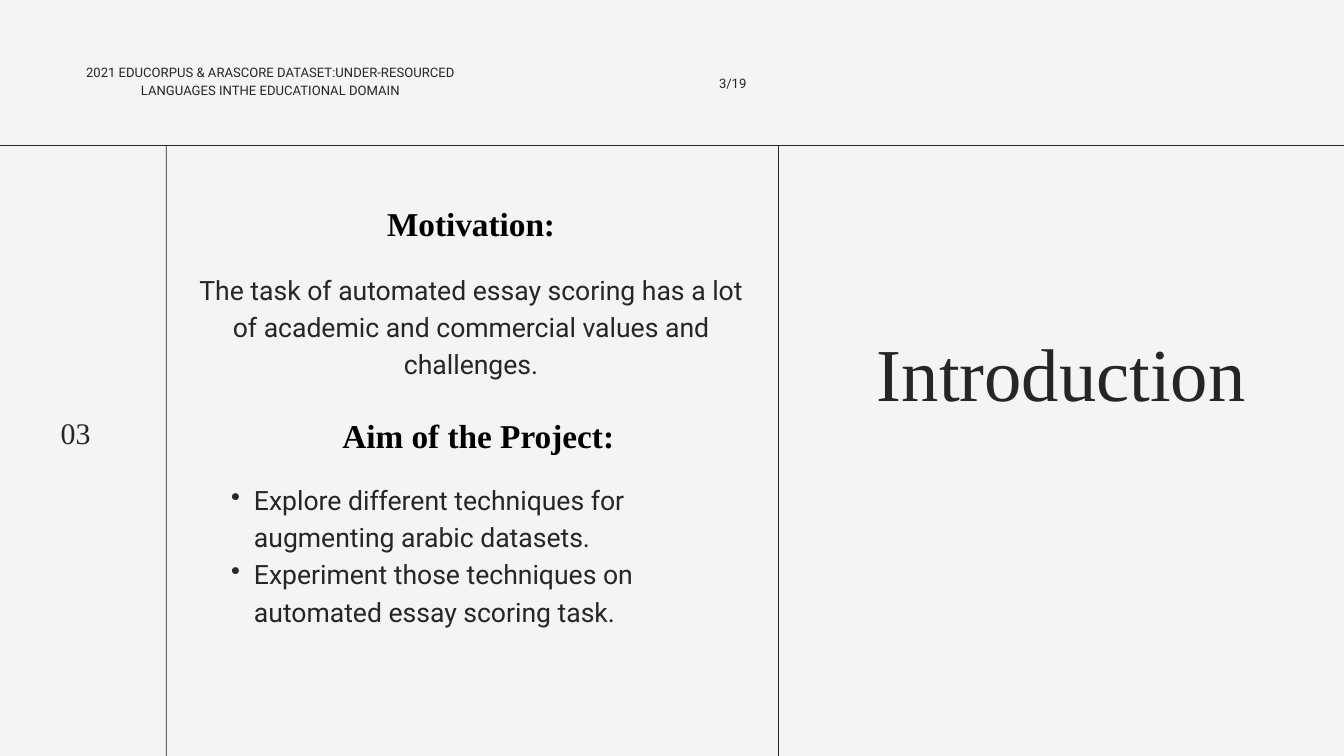
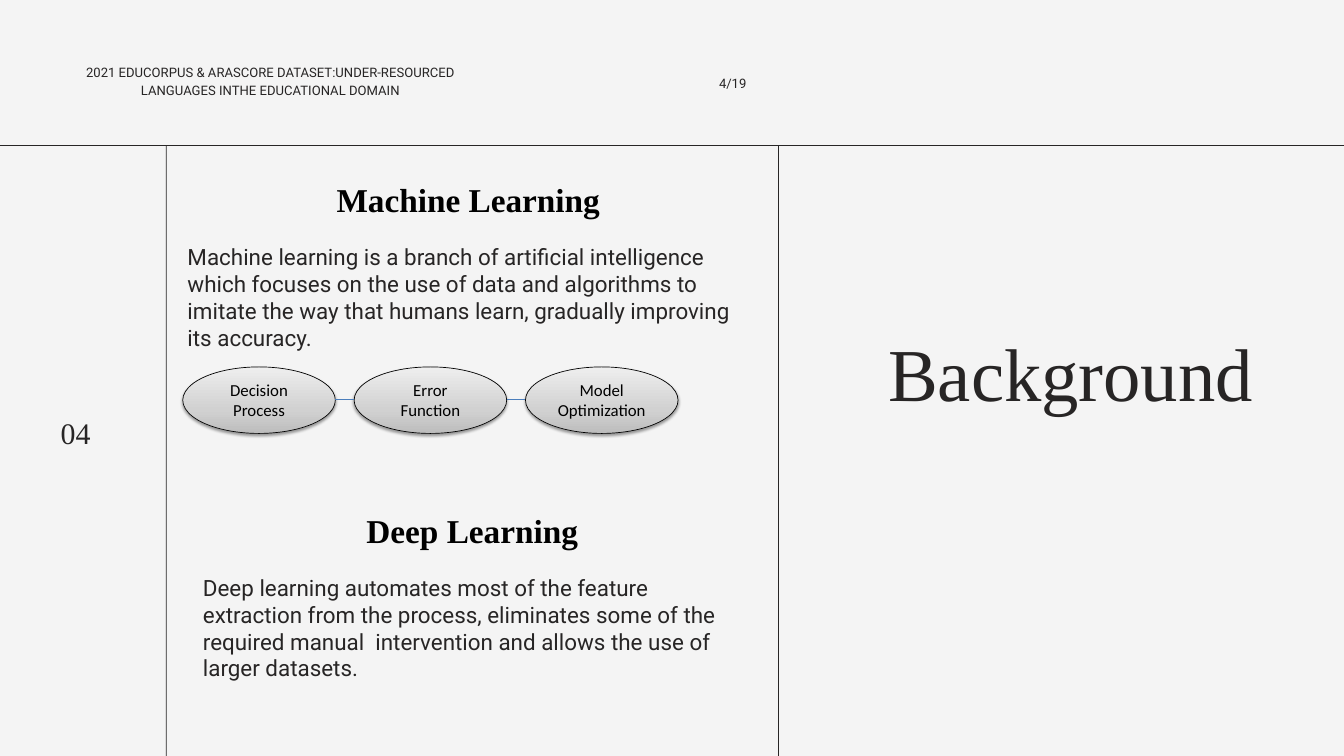
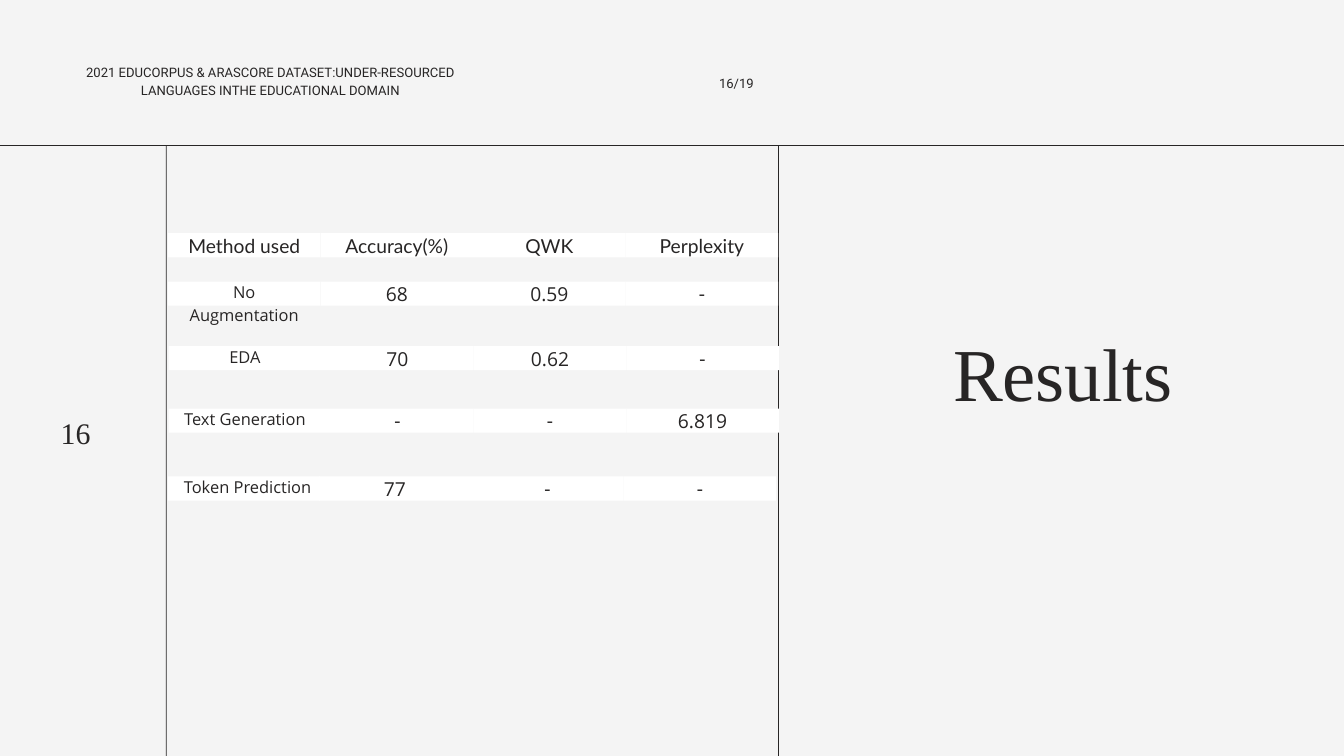
from dataclasses import dataclass

from lxml import etree
from pptx import Presentation, presentation as deck, slide as s, util as u
from pptx.dml import color as c
from pptx.enum import shapes, text as t
from pptx.oxml import ns
from pptx.shapes import autoshape

PX = u.Inches(1) // 100

PAPER = c.RGBColor(0xF4, 0xF4, 0xF4)
INK = c.RGBColor(0x27, 0x25, 0x25)
BLACK = c.RGBColor(0, 0, 0)
WHITE = c.RGBColor(0xFF, 0xFF, 0xFF)
LINK_BLUE = c.RGBColor(0x4B, 0x7E, 0xBC)
GRADIENT_STOPS = ((0, "BDBDBD"), (35, "D1D1D1"), (100, "EEEEEE"))

SLIDE_WIDTH, SLIDE_HEIGHT = 2000, 1125
RULE_TOP = 216
RULE_LEFTS = (1158, 247)
TITLE_RIGHT = 1972
PAPER_TITLE = ("2021 EDUCORPUS & ARASCORE DATASET:UNDER-RESOURCED "
               "LANGUAGES INTHE EDUCATIONAL DOMAIN")
PAGE_COUNT = 19

STEP_WIDTH, STEP_HEIGHT, STEP_PITCH = 227, 99, 255
CELL_WIDTH, CELL_HEIGHT, CELL_INSET = 227, 36, 16


@dataclass(frozen=True)
class Box:
    left: int
    top: int
    width: int
    height: int


@dataclass(frozen=True)
class TextStyle:
    font: str
    size: float
    line_spacing: float | None = None
    align: t.PP_ALIGN = t.PP_ALIGN.CENTER
    color: c.RGBColor = INK
    bold: bool = False
    bullet: bool = False


@dataclass(frozen=True)
class ResultRow:
    top: int
    label: str
    values: tuple[str, ...]
    left: int = 250
    value_left: int = 477
    label_left: int = 266


LEFT = t.PP_ALIGN.LEFT
TITLE = TextStyle("Times New Roman", 80, 104)
HEADING = TextStyle("Times New Roman", 35.7, 42.9, color=BLACK, bold=True)
SECTION_NUMBER = TextStyle("Times New Roman", 32, 38.4)
HEADER = TextStyle("Roboto", 14, 19.6)
PAGE_NUMBER = TextStyle("Roboto", 14, 19.6, LEFT)
STATEMENT = TextStyle("Roboto", 28.5, 39.9)
BULLETS = TextStyle("Roboto", 28.5, 39.9, LEFT, bullet=True)
BODY = TextStyle("Roboto", 24, align=LEFT)
STEP = TextStyle("Calibri", 18, color=BLACK)
COLUMN_HEAD = TextStyle("Lato", 20.6, 28.8)
METHOD = TextStyle("Open Sans", 17.6, 24.6)
VALUE = TextStyle("Open Sans", 20.6, 28.8)

STEPS = ("Decision Process", "Error Function", "Model Optimization")
RESULTS = (
    ResultRow(347, "Method used", ("Accuracy(%)", "QWK", "Perplexity")),
    ResultRow(419, "No Augmentation", ("68", "0.59", "-")),
    ResultRow(515, "EDA", ("70", "0.62", "-"), 251, 478, 267),
    ResultRow(608, "Text Generation", ("-", "-", "6.819"), 251, 478, 267),
    ResultRow(709, "Token Prediction", ("77", "-", "-"), 250, 474, 271),
)


def to_emu(box: Box) -> tuple[int, int, int, int]:
    return box.left * PX, box.top * PX, box.width * PX, box.height * PX


def write_text(frame, lines: tuple[str, ...], style: TextStyle) -> None:
    frame.word_wrap = True
    for index, line in enumerate(lines):
        paragraph = frame.add_paragraph() if index else frame.paragraphs[0]
        paragraph.alignment = style.align
        if style.line_spacing:
            paragraph.line_spacing = u.Pt(style.line_spacing)
        if style.bullet:
            paragraph.level = 1
            properties = paragraph._p.get_or_add_pPr()
            properties.set("marL", str(67 * PX))
            properties.set("indent", str(-34 * PX))
            etree.SubElement(properties, ns.qn("a:buChar"), char="•")
        run = paragraph.add_run()
        run.text = line
        run.font.name = style.font
        run.font.size = u.Pt(style.size)
        run.font.bold = style.bold
        run.font.color.rgb = style.color


def add_text(slide: s.Slide, box: Box, style: TextStyle, *lines: str) -> None:
    frame = slide.shapes.add_textbox(*to_emu(box)).text_frame
    frame.margin_left = frame.margin_top = frame.margin_right = frame.margin_bottom = 0
    frame.auto_size = t.MSO_AUTO_SIZE.SHAPE_TO_FIT_TEXT
    write_text(frame, lines, style)


def add_rectangle(slide: s.Slide, box: Box, color: c.RGBColor) -> None:
    shape = slide.shapes.add_shape(shapes.MSO_SHAPE.RECTANGLE, *to_emu(box))
    shape.shadow.inherit = False
    shape.fill.solid()
    shape.fill.fore_color.rgb = color
    shape.line.fill.background()


def add_framed_slide(presentation: deck.Presentation, number: int, title: str,
                     title_left: int = 1215) -> s.Slide:
    """Add a slide with the rules, header, numbering and title all slides share."""
    slide = presentation.slides.add_slide(presentation.slide_layouts[6])
    slide.background.fill.solid()
    slide.background.fill.fore_color.rgb = PAPER
    add_rectangle(slide, Box(0, RULE_TOP, SLIDE_WIDTH, 1), INK)
    for left in RULE_LEFTS:
        add_rectangle(slide, Box(left, RULE_TOP, 1, SLIDE_HEIGHT - RULE_TOP), INK)
    add_text(slide, Box(title_left, 475, TITLE_RIGHT - title_left, 142), TITLE, title)
    add_text(slide, Box(126, 92, 553, 53), HEADER, PAPER_TITLE)
    add_text(slide, Box(73, 617, 79, 53), SECTION_NUMBER, f"{number:02}")
    add_text(slide, Box(1070, 108, 370, 26), PAGE_NUMBER, f"{number}/{PAGE_COUNT}")
    return slide


def shade(shape: autoshape.Shape) -> None:
    """Give the shape a three-stop grey gradient and a soft shadow below."""
    shape.fill.gradient()
    shape.fill.gradient_angle = 90
    stops = shape._element.spPr.find(f".//{ns.qn('a:gsLst')}")
    stops.clear()
    for percent, color in GRADIENT_STOPS:
        stop = etree.SubElement(stops, ns.qn("a:gs"), pos=str(percent * 1000))
        etree.SubElement(stop, ns.qn("a:srgbClr"), val=color)
    shape.shadow.inherit = False
    effects = shape._element.spPr.find(ns.qn("a:effectLst"))
    shadow = etree.SubElement(effects, ns.qn("a:outerShdw"), blurRad=str(u.Pt(3.1)),
                              dist=str(u.Pt(1.6)), dir="5400000", rotWithShape="0")
    color = etree.SubElement(shadow, ns.qn("a:srgbClr"), val=str(BLACK))
    etree.SubElement(color, ns.qn("a:alpha"), val="38000")


def add_step(slide: s.Slide, box: Box, label: str) -> None:
    shape = slide.shapes.add_shape(shapes.MSO_SHAPE.OVAL, *to_emu(box))
    shade(shape)
    shape.line.color.rgb = BLACK
    shape.line.width = u.Pt(0.75)
    shape.text_frame.vertical_anchor = t.MSO_ANCHOR.MIDDLE
    write_text(shape.text_frame, (label,), STEP)


def add_link(slide: s.Slide, start: int, end: int, y: int) -> None:
    connector = slide.shapes.add_connector(
        shapes.MSO_CONNECTOR.STRAIGHT, start * PX, y * PX, end * PX, y * PX)
    connector.line.color.rgb = LINK_BLUE
    connector.line.width = u.Pt(0.75)
    etree.SubElement(connector._element.spPr, ns.qn("a:effectLst"))


def add_step_chain(slide: s.Slide, left: int, top: int) -> None:
    for index, label in enumerate(STEPS):
        step_left = left + index * STEP_PITCH
        add_step(slide, Box(step_left, top, STEP_WIDTH, STEP_HEIGHT), label)
        if index:
            previous_right = step_left - STEP_PITCH + STEP_WIDTH
            add_link(slide, previous_right, step_left, top + STEP_HEIGHT // 2)


def add_cell(slide: s.Slide, left: int, top: int, text_left: int,
             content: str, style: TextStyle) -> None:
    add_rectangle(slide, Box(left, top, CELL_WIDTH, CELL_HEIGHT), WHITE)
    text_box = Box(text_left, top - 4, CELL_WIDTH - 2 * CELL_INSET, 38)
    add_text(slide, text_box, style, content)


def add_result_row(slide: s.Slide, row: ResultRow, is_header: bool) -> None:
    label_style = COLUMN_HEAD if is_header else METHOD
    add_cell(slide, row.left, row.top, row.label_left, row.label, label_style)
    for index, value in enumerate(row.values):
        left = row.value_left + index * CELL_WIDTH
        style = COLUMN_HEAD if is_header or value == "-" else VALUE
        add_cell(slide, left, row.top, left + CELL_INSET, value, style)


def add_introduction(presentation: deck.Presentation) -> None:
    slide = add_framed_slide(presentation, 3, "Introduction ")
    add_text(slide, Box(277, 303, 848, 59), HEADING, "Motivation:")
    add_text(slide, Box(277, 399, 848, 163), STATEMENT,
             "The task of automated essay scoring has a lot of academic and "
             "commercial values and challenges.")
    add_text(slide, Box(311, 618, 814, 59), HEADING, "Aim of the Project: ")
    add_text(slide, Box(311, 712, 814, 219), BULLETS,
             "Explore different techniques for augmenting arabic datasets.",
             "Experiment those techniques on automated essay scoring task.")


def add_background(presentation: deck.Presentation) -> None:
    slide = add_framed_slide(presentation, 4, "Background")
    add_text(slide, Box(279, 266, 848, 59), HEADING, "Machine Learning ")
    add_text(slide, Box(279, 362, 848, 254), BODY,
             "Machine learning is a branch of artificial intelligence which focuses "
             "on the use of data and algorithms to imitate the way that humans learn, "
             "gradually improving its accuracy.")
    add_text(slide, Box(302, 759, 814, 119), HEADING, "Deep Learning ")
    add_text(slide, Box(302, 854, 814, 162), BODY,
             "Deep learning automates most of the feature extraction from the process, "
             "eliminates some of the required manual  intervention and allows the use "
             "of larger datasets.")
    add_step_chain(slide, 272, 546)


def add_results(presentation: deck.Presentation) -> None:
    slide = add_framed_slide(presentation, 16, "Results", title_left=1192)
    for index, row in enumerate(RESULTS):
        add_result_row(slide, row, is_header=index == 0)


def main() -> None:
    presentation = Presentation()
    presentation.slide_width = SLIDE_WIDTH * PX
    presentation.slide_height = SLIDE_HEIGHT * PX
    add_introduction(presentation)
    add_background(presentation)
    add_results(presentation)
    presentation.save("out.pptx")


if __name__ == "__main__":
    main()
